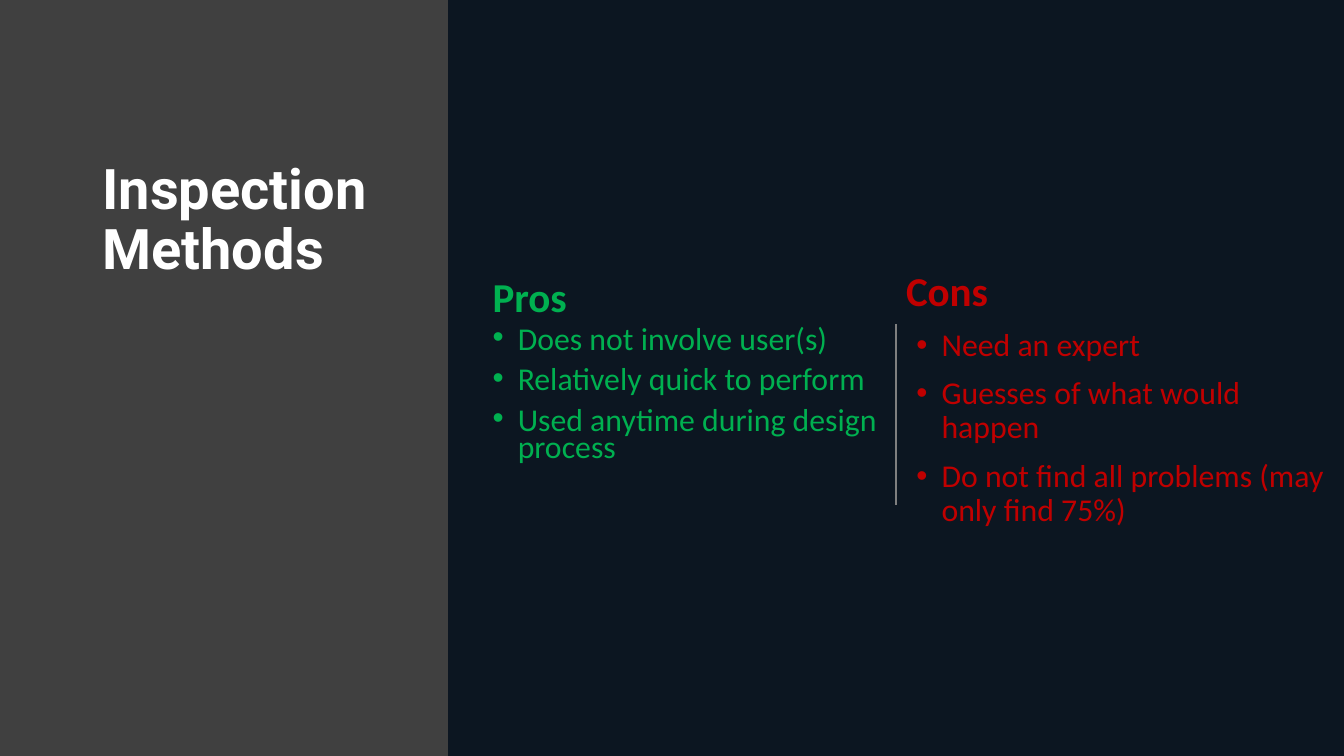
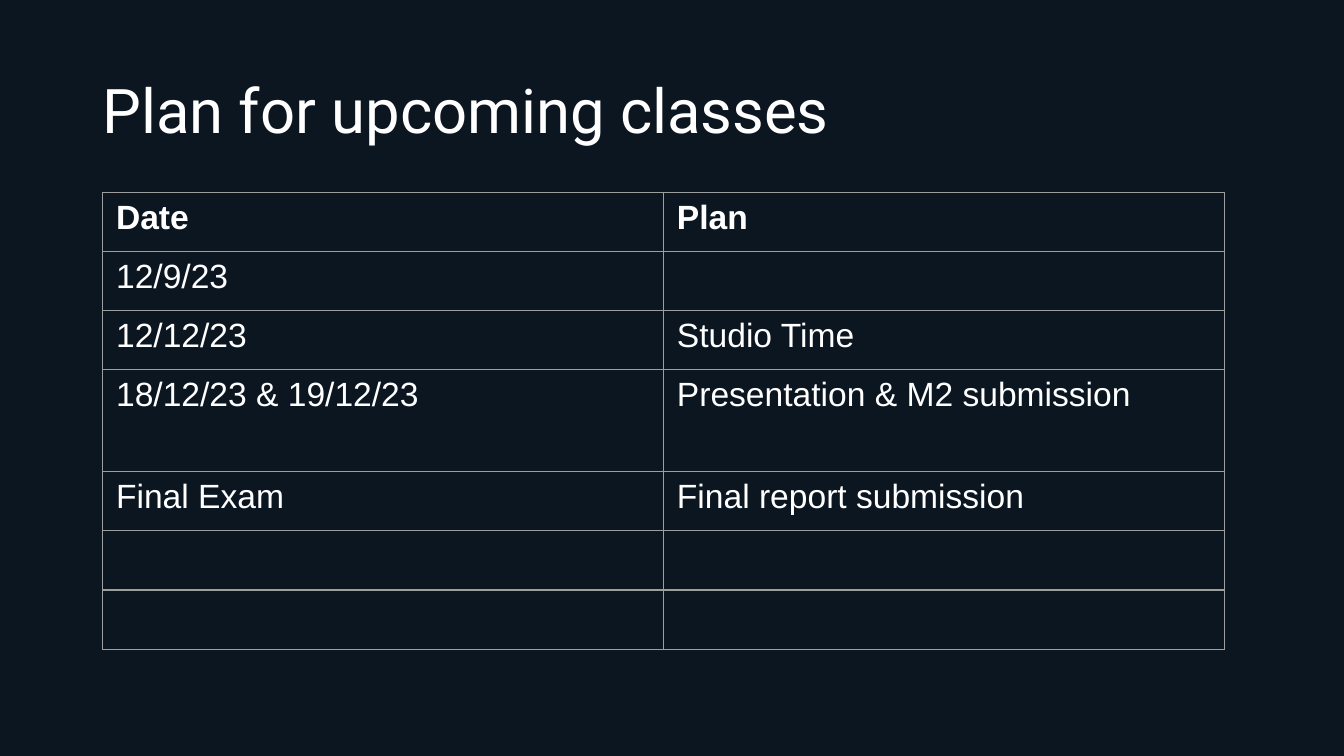
"""Builds two dark slides: pros and cons of inspection methods, and a class plan table."""
from lxml.etree import SubElement
from pptx import Presentation
from pptx.dml.color import RGBColor
from pptx.enum.shapes import MSO_CONNECTOR, MSO_SHAPE
from pptx.enum.text import MSO_ANCHOR, MSO_AUTO_SIZE, PP_ALIGN
from pptx.oxml.ns import qn
from pptx.util import Pt

NIGHT = RGBColor(0x0C, 0x16, 0x21)
BAND_GREY = RGBColor(0x40, 0x40, 0x40)
RULE_GREY = RGBColor(0x7F, 0x7F, 0x7F)
GRID_GREY = RGBColor(0x9E, 0x9E, 0x9E)
WHITE = RGBColor(0xFF, 0xFF, 0xFF)
GREEN = RGBColor(0x00, 0xB0, 0x50)
RED = RGBColor(0xC0, 0x00, 0x00)


def write(shape, box, lines, font, size, color, bold=False, anchor=MSO_ANCHOR.TOP, spacing=0.9):
    shape.left, shape.top, shape.width, shape.height = map(Pt, box)
    frame = shape.text_frame
    frame.word_wrap = True
    frame.auto_size = MSO_AUTO_SIZE.NONE
    frame.vertical_anchor = anchor
    frame.margin_left = frame.margin_right = Pt(5.4)
    frame.margin_top = frame.margin_bottom = Pt(2.7)
    frame.text = "\n".join(lines)
    for paragraph in frame.paragraphs:
        paragraph.alignment = PP_ALIGN.LEFT
        paragraph.line_spacing = spacing
        run_font = paragraph.runs[0].font
        run_font.name, run_font.size, run_font.bold = font, Pt(size), bold
        run_font.color.rgb = color
    return frame


def add_titled_slide(title, box, size, bold, anchor):
    slide = deck.slides.add_slide(deck.slide_layouts[5])
    slide.background.fill.solid()
    slide.background.fill.fore_color.rgb = NIGHT
    write(slide.shapes.title, box, [title], "Roboto", size, WHITE, bold, anchor)
    return slide


deck = Presentation()
deck.slide_width, deck.slide_height = Pt(720), Pt(405)

methods = add_titled_slide("Inspection Methods", (49.5, 83.5, 171.5, 258), 30, True, MSO_ANCHOR.TOP)
band = methods.shapes.add_shape(MSO_SHAPE.RECTANGLE, 0, 0, Pt(240), deck.slide_height)
band.shadow.inherit = False
band.fill.solid()
band.fill.fore_color.rgb = BAND_GREY
band.line.fill.background()
methods.shapes._spTree.insert(2, band._element)

divider = methods.shapes.add_connector(MSO_CONNECTOR.STRAIGHT, Pt(480), Pt(173.5), Pt(480), Pt(270.5))
divider.line.color.rgb = RULE_GREY
divider.line.width = Pt(1)
SubElement(divider._element.spPr, qn("a:effectLst"))

sides = [
    ("Cons", RED, (480, 142.5, 222, 27.5), (485.5, 173.5, 240, 92), 0.9,
     ["Need an expert", "Guesses of what would happen", "Do not find all problems (may only find 75%)"]),
    ("Pros", GREEN, (258.5, 146, 222, 27.5), (258.5, 173.5, 222, 92), 0.7,
     ["Does not involve user(s)", "Relatively quick to perform", "Used anytime during design process"]),
]
for heading, color, heading_box, points_box, spacing, points in sides:
    write(methods.shapes.add_textbox(0, 0, 0, 0), heading_box, [heading], "Calibri", 22, color, True)
    point_frame = write(methods.shapes.add_textbox(0, 0, 0, 0), points_box, points,
                        "Calibri", 17, color, spacing=spacing)
    for index, paragraph in enumerate(point_frame.paragraphs):
        if index:
            paragraph.space_before = Pt(7.5)
        properties = paragraph._p.get_or_add_pPr()
        properties.set("marL", str(Pt(13.5)))
        properties.set("indent", str(-Pt(13.5)))
        bullet_color = SubElement(properties, qn("a:buClr"))
        SubElement(bullet_color, qn("a:srgbClr"), val=str(color))
        SubElement(properties, qn("a:buFont"), typeface="Arial")
        SubElement(properties, qn("a:buChar"), char="•")

classes = add_titled_slide("Plan for upcoming classes", (49.5, 21.5, 621, 78.5), 33, False, MSO_ANCHOR.MIDDLE)
schedule = [
    ("Date", "Plan"),
    ("12/9/23", ""),
    ("12/12/23", "Studio Time"),
    ("18/12/23 & 19/12/23", "Presentation & M2 submission"),
    ("Final Exam", "Final report submission"),
    ("", ""),
    ("", ""),
]
row_heights = [31.7, 31.7, 31.7, 54.6, 31.7, 31.7, 31.7]
plan = classes.shapes.add_table(len(schedule), 2, Pt(55), Pt(103), Pt(601), Pt(sum(row_heights))).table
plan.horz_banding = False
for column in plan.columns:
    column.width = Pt(300.5)
for row_index, (entries, height) in enumerate(zip(schedule, row_heights)):
    plan.rows[row_index].height = Pt(height)
    for column_index, entry in enumerate(entries):
        cell = plan.cell(row_index, column_index)
        cell.text_frame.text = entry
        for run in cell.text_frame.paragraphs[0].runs:
            run.font.name, run.font.size, run.font.bold = "Arial", Pt(18), row_index == 0
            run.font.color.rgb = WHITE
        cell_properties = cell._tc.get_or_add_tcPr()
        for edge in ("a:lnL", "a:lnR", "a:lnT", "a:lnB"):
            border = SubElement(cell_properties, qn(edge), w=str(Pt(0.75)))
            border_fill = SubElement(border, qn("a:solidFill"))
            SubElement(border_fill, qn("a:srgbClr"), val=str(GRID_GREY))
        cell.fill.background()

deck.save("out.pptx")
